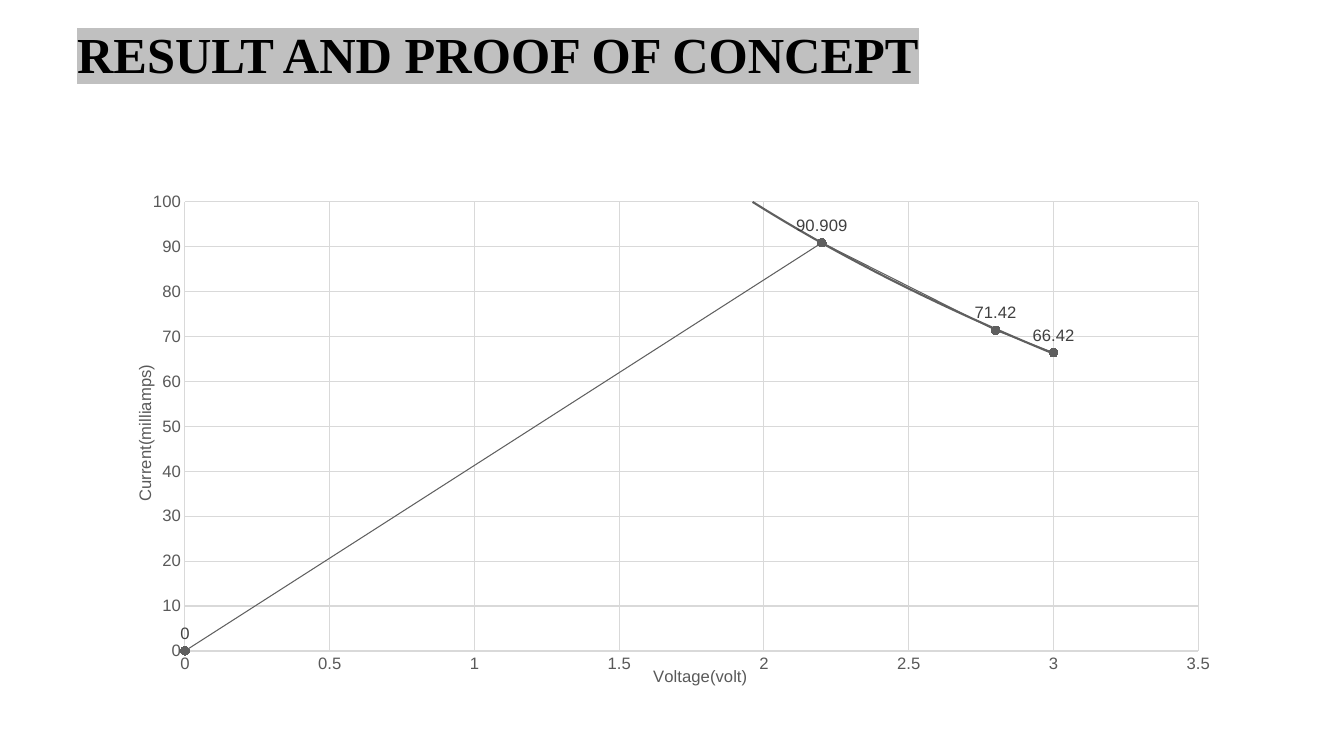
"""Build the result slide: a current-voltage scatter chart with a logarithmic trend."""
from lxml import etree
from pptx import Presentation
from pptx.chart.data import XyChartData
from pptx.chart.datalabel import DataLabels
from pptx.dml.color import RGBColor
from pptx.enum.chart import XL_CHART_TYPE, XL_LABEL_POSITION, XL_MARKER_STYLE, XL_TICK_MARK
from pptx.enum.text import MSO_ANCHOR
from pptx.oxml import parse_xml
from pptx.oxml.ns import nsdecls, qn
from pptx.util import Pt

SCATTER_LINES = XL_CHART_TYPE.XY_SCATTER_LINES
LABEL_ABOVE = XL_LABEL_POSITION.ABOVE
CIRCLE = XL_MARKER_STYLE.CIRCLE
NO_TICK = XL_TICK_MARK.NONE
MIDDLE = MSO_ANCHOR.MIDDLE
SERIES_COLOR = "5F5F5F"
GRID_COLOR = "D9D9D9"
AXIS_TEXT_COLOR = "595959"


def color(value):
    return RGBColor.from_string(value)


def format_font(font, size=11.9, name="Arial", fill=AXIS_TEXT_COLOR, bold=False):
    font.size = Pt(size)
    font.bold = bold
    font.color.rgb = color(fill)
    font.name = name


presentation = Presentation()
presentation.slide_width = Pt(960)
presentation.slide_height = Pt(540)
slide = presentation.slides.add_slide(presentation.slide_layouts[6])

title_box = slide.shapes.add_textbox(Pt(48), Pt(15), Pt(864), Pt(46))
title_frame = title_box.text_frame
title_frame.word_wrap = True
title_frame.vertical_anchor = MIDDLE
title_run = title_frame.paragraphs[0].add_run()
title_run.text = "RESULT AND PROOF OF CONCEPT"
format_font(title_run.font, size=36, name="Times New Roman", fill="000000", bold=True)
highlight = parse_xml(f'<a:highlight {nsdecls("a")}><a:srgbClr val="C0C0C0"/></a:highlight>')
title_run.font.fill
title_run._r.rPr.find(qn("a:solidFill")).addnext(highlight)

chart_data = XyChartData()
measurements = chart_data.add_series("Series 1")
for voltage, current in [(0, 0), (2.2, 90.909), (2.8, 71.42), (3, 66.42)]:
    measurements.add_data_point(voltage, current)
chart = slide.shapes.add_chart(
    SCATTER_LINES, Pt(90), Pt(101), Pt(780), Pt(392), chart_data).chart
chart.has_legend = False
chart.has_title = False
chart.font.size = Pt(10)
chart.font.name = "Arial"
chart.plots[0].vary_by_categories = False

axes = [
    (chart.category_axis, "Voltage(volt)", 3.5, 0.5, 0, 0.48, 0.955),
    (chart.value_axis, "Current(milliamps)", 100, 10, -5400000, 0.005, 0.405),
]
for axis, caption, maximum, step, rotation, left, top in axes:
    axis.minimum_scale = 0
    axis.maximum_scale = maximum
    axis.major_unit = step
    axis.major_tick_mark = NO_TICK
    axis.minor_tick_mark = NO_TICK
    axis.has_major_gridlines = True
    gridline = axis.major_gridlines.format.line
    gridline.color.rgb = color(GRID_COLOR)
    gridline.width = Pt(0.75)
    format_font(axis.tick_labels.font)
    axis_title = axis.axis_title
    axis_run = axis_title.text_frame.paragraphs[0].add_run()
    axis_run.text = caption
    format_font(axis_run.font)
    body = next(axis_title.element.iter(qn("a:bodyPr")))
    body.set("rot", str(rotation))
    body.set("vert", "horz")
    layout = axis_title.element.find(qn("c:layout"))
    if layout is None:
        layout = etree.Element(qn("c:layout"))
        axis_title.element.find(qn("c:tx")).addnext(layout)
    manual = etree.SubElement(layout, qn("c:manualLayout"))
    for tag, value in [("xMode", "edge"), ("yMode", "edge"), ("x", left), ("y", top)]:
        etree.SubElement(manual, qn(f"c:{tag}")).set("val", str(value))

axis_line = chart.category_axis.format.line
axis_line.color.rgb = color(GRID_COLOR)
axis_line.width = Pt(1)
chart.value_axis.format.line.fill.background()

plot_area = next(chart.element.iter(qn("c:plotArea")))
plot_layout = plot_area.find(qn("c:layout"))
if plot_layout is None:
    plot_layout = etree.Element(qn("c:layout"))
    plot_area.insert(0, plot_layout)
plot_layout.append(parse_xml(
    f'<c:manualLayout {nsdecls("c")}><c:layoutTarget val="inner"/>'
    '<c:xMode val="edge"/><c:yMode val="edge"/><c:x val="0.054"/><c:y val="0.111"/>'
    '<c:w val="0.928"/><c:h val="0.823"/></c:manualLayout>'))

series = chart.plots[0].series[0]
series.format.line.color.rgb = color(SERIES_COLOR)
series.format.line.width = Pt(0.75)
series.marker.style = CIRCLE
series.marker.size = 6
series.marker.format.fill.solid()
series.marker.format.fill.fore_color.rgb = color(SERIES_COLOR)
series.marker.format.line.color.rgb = color(SERIES_COLOR)

series_element = series._element
labels = DataLabels(series_element.get_or_add_dLbls())
format_font(labels.font, fill="404040")
labels.show_value = True
labels.position = LABEL_ABOVE

series_element.find(qn("c:xVal")).addprevious(parse_xml(
    f'<c:trendline {nsdecls("c", "a")}><c:spPr><a:ln w="{Pt(1.5)}"><a:solidFill>'
    f'<a:srgbClr val="{SERIES_COLOR}"/></a:solidFill></a:ln></c:spPr>'
    '<c:trendlineType val="log"/><c:dispRSqr val="0"/><c:dispEq val="0"/></c:trendline>'))

presentation.save("out.pptx")
